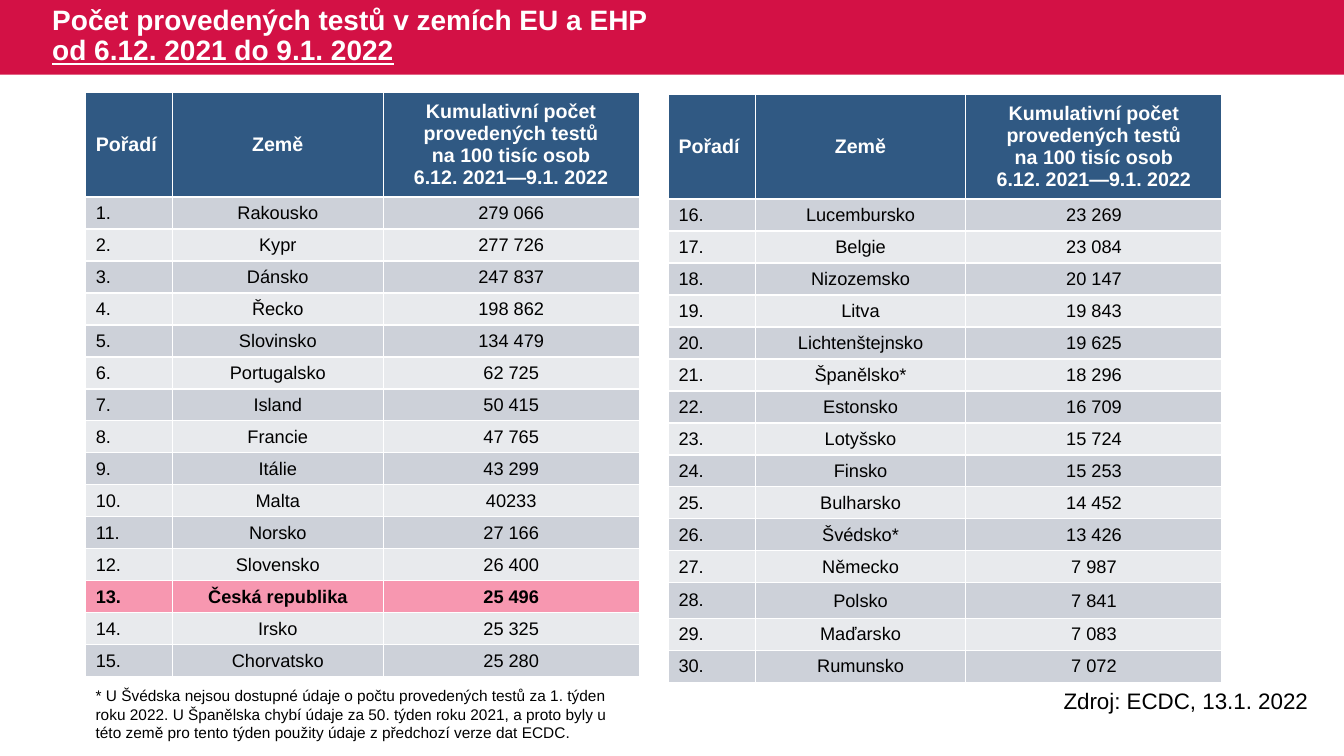
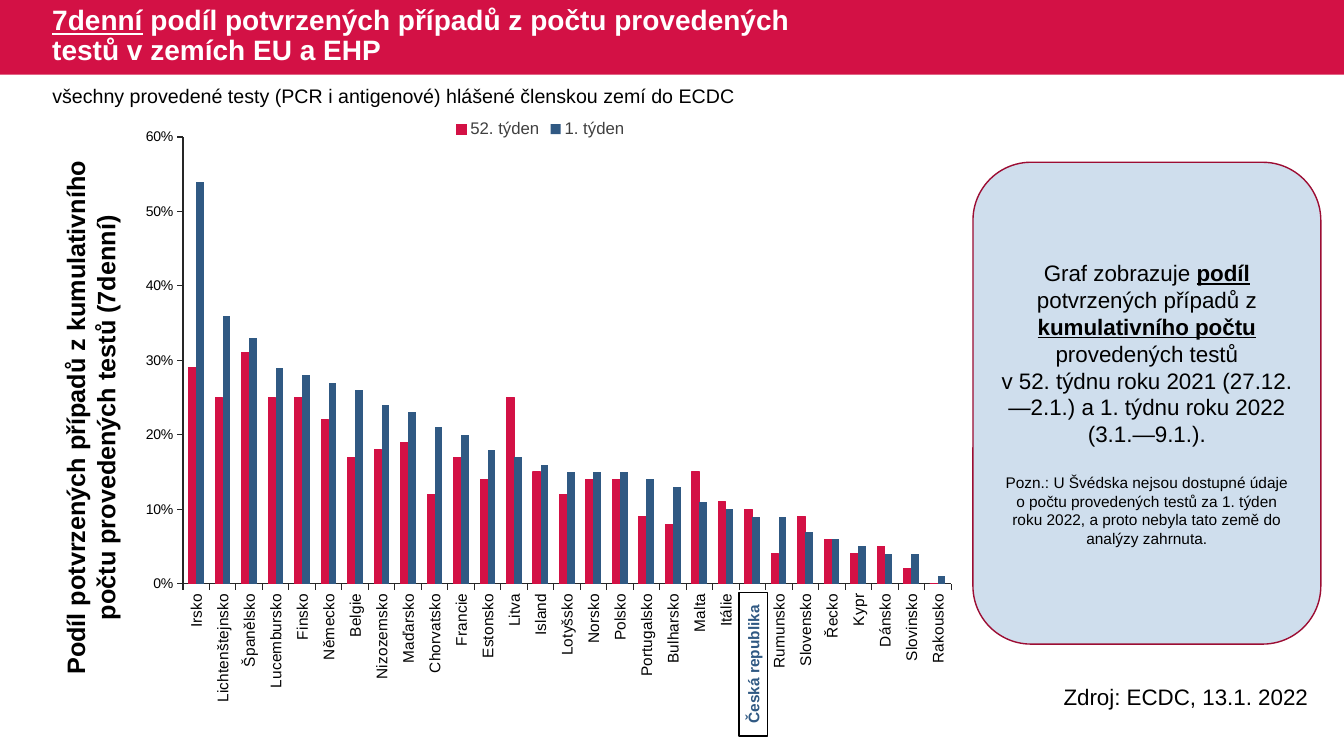
from pptx import Presentation
from pptx.chart.data import CategoryChartData
from pptx.dml.color import RGBColor
from pptx.enum.chart import XL_CHART_TYPE, XL_LEGEND_POSITION, XL_TICK_MARK
from pptx.enum.shapes import MSO_SHAPE
from pptx.enum.text import MSO_ANCHOR, PP_ALIGN
from pptx.oxml import parse_xml
from pptx.oxml.ns import nsdecls
from pptx.util import Inches, Pt

RED = RGBColor(0xD3, 0x11, 0x45)
DARK_RED = RGBColor(0x9C, 0x0D, 0x33)
PINK = RGBColor(0xF7, 0x97, 0xB0)
BLUE = RGBColor(0x30, 0x59, 0x83)
LIGHT_BLUE = RGBColor(0xCF, 0xDE, 0xED)
ODD_ROW = RGBColor(0xCD, 0xD1, 0xD9)
EVEN_ROW = RGBColor(0xE8, 0xEA, 0xED)
LEGEND_GREY = RGBColor(0x40, 0x40, 0x40)
AXIS_GREY = RGBColor(0x26, 0x26, 0x26)
BLACK = RGBColor(0, 0, 0)
WHITE = RGBColor(0xFF, 0xFF, 0xFF)
FONT = "Arial"
MARKED = "Česká republika"
STRONG = {"bold": True, "underline": True}


def write(tf, paras, size, color=BLACK, bold=False, align=PP_ALIGN.LEFT, anchor=MSO_ANCHOR.TOP):
    tf.word_wrap = True
    tf.vertical_anchor = anchor
    for i, runs in enumerate(paras):
        p = tf.paragraphs[0] if i == 0 else tf.add_paragraph()
        p.alignment = align
        for text, changes in runs:
            if text == "\v":
                p.add_line_break()
                continue
            r = p.add_run()
            r.text = text
            style = {"name": FONT, "size": Pt(size), "bold": bold, **changes}
            for key, value in style.items():
                setattr(r.font, key, value)
            r.font.color.rgb = color


def add_box(s, place, fill=None, line=None, shape=MSO_SHAPE.RECTANGLE):
    box = [Inches(v) for v in place]
    if fill is None:
        return s.shapes.add_textbox(*box)
    sp = s.shapes.add_shape(shape, *box)
    sp.shadow.inherit = False
    sp.fill.solid()
    sp.fill.fore_color.rgb = fill
    if line is None:
        sp.line.fill.background()
    else:
        sp.line.color.rgb = line
        sp.line.width = Pt(1)
    return sp


prs = Presentation()
prs.slide_width = Inches(13.33)
prs.slide_height = Inches(7.5)

titles = [
    [("Počet provedených testů v zemích EU a EHP", {}), ("\v", {}),
     ("od 6.12. 2021 do 9.1. 2022", {"underline": True})],
    [("7denní", {"underline": True}),
     (" podíl potvrzených případů z počtu provedených testů v zemích EU a EHP", {})],
]
for title, source_top in zip(titles, (6.77, 6.73)):
    s = prs.slides.add_slide(prs.slide_layouts[6])
    add_box(s, (0, 0, 13.33, 0.74), RED)
    tf = add_box(s, (0.42, 0, 8.16, 0.73)).text_frame
    write(tf, [title], 20, WHITE, True, anchor=MSO_ANCHOR.MIDDLE)
    tf.paragraphs[0].line_spacing = 0.9
    tf = add_box(s, (10.45, source_top, 3.13, 0.37)).text_frame
    write(tf, [[("Zdroj: ECDC, 13.1. 2022", {})]], 16)

tests_slide, share_slide = prs.slides

ranking = [
    ("Rakousko", "279 066"), ("Kypr", "277 726"), ("Dánsko", "247 837"),
    ("Řecko", "198 862"), ("Slovinsko", "134 479"), ("Portugalsko", "62 725"),
    ("Island", "50 415"), ("Francie", "47 765"), ("Itálie", "43 299"),
    ("Malta", "40233"), ("Norsko", "27 166"), ("Slovensko", "26 400"),
    (MARKED, "25 496"), ("Irsko", "25 325"), ("Chorvatsko", "25 280"),
    ("Lucembursko", "23 269"), ("Belgie", "23 084"), ("Nizozemsko", "20 147"),
    ("Litva", "19 843"), ("Lichtenštejnsko", "19 625"), ("Španělsko*", "18 296"),
    ("Estonsko", "16 709"), ("Lotyšsko", "15 724"), ("Finsko", "15 253"),
    ("Bulharsko", "14 452"), ("Švédsko*", "13 426"), ("Německo", "7 987"),
    ("Polsko", "7 841"), ("Maďarsko", "7 083"), ("Rumunsko", "7 072"),
]
header = (["Pořadí"], ["Země"],
          ["Kumulativní počet provedených testů", "na 100 tisíc osob", "6.12. 2021—9.1. 2022"])
half = len(ranking) // 2
for start, left, top in ((0, 0.85, 0.92), (half, 6.63, 0.94)):
    frame = tests_slide.shapes.add_table(
        half + 1, 3, Inches(left), Inches(top), Inches(5.49), Inches(5.5))
    table = frame.table
    for column, width in zip(table.columns, (0.86, 2.09, 2.54)):
        column.width = Inches(width)
    rows = [header]
    for rank, (country, count) in enumerate(ranking[start:start + half], start + 1):
        rows.append(([f"{rank}."], [country], [count]))
    for i, row in enumerate(rows):
        marked = row[1] == [MARKED]
        if i == 0:
            height, fill, size, color = 0.97, BLUE, 14, WHITE
        else:
            height = 0.35 if row[1] == ["Polsko"] else 0.3
            fill = PINK if marked else ODD_ROW if i % 2 else EVEN_ROW
            size, color = 13, BLACK
        table.rows[i].height = Inches(height)
        for j, lines in enumerate(row):
            cell = table.cell(i, j)
            cell.fill.solid()
            cell.fill.fore_color.rgb = fill
            cell.vertical_anchor = MSO_ANCHOR.MIDDLE
            if i and j:
                cell.margin_left = cell.margin_top = cell.margin_right = Inches(0.01)
                cell.margin_bottom = 0
            write(cell.text_frame, [[(line, {})] for line in lines], size, color,
                  i == 0 or marked, PP_ALIGN.CENTER if j else PP_ALIGN.LEFT, MSO_ANCHOR.MIDDLE)

tf = add_box(tests_slide, (0.85, 6.76, 5.48, 0.66)).text_frame
write(tf, [[("* U Švédska nejsou dostupné údaje o počtu provedených testů za 1. týden roku 2022. "
             "U Španělska chybí údaje za 50. týden roku 2021, a proto byly u této země pro tento "
             "týden použity údaje z předchozí verze dat ECDC.", {})]], 11)

s = share_slide
sp = add_box(s, (-1.81, 3.79, 5.42, 0.71))
sp.rotation = 270
write(sp.text_frame, [[("Podíl potvrzených případů z kumulativního počtu provedených testů (7denní)", {})]],
      18, bold=True, align=PP_ALIGN.CENTER)

shares = [
    ("Irsko", 0.29, 0.54), ("Lichtenštejnsko", 0.25, 0.36), ("Španělsko", 0.31, 0.33),
    ("Lucembursko", 0.25, 0.29), ("Finsko", 0.25, 0.28), ("Německo", 0.22, 0.27),
    ("Belgie", 0.17, 0.26), ("Nizozemsko", 0.18, 0.24), ("Maďarsko", 0.19, 0.23),
    ("Chorvatsko", 0.12, 0.21), ("Francie", 0.17, 0.2), ("Estonsko", 0.14, 0.18),
    ("Litva", 0.25, 0.17), ("Island", 0.15, 0.16), ("Lotyšsko", 0.12, 0.15),
    ("Norsko", 0.14, 0.15), ("Polsko", 0.14, 0.15), ("Portugalsko", 0.09, 0.14),
    ("Bulharsko", 0.08, 0.13), ("Malta", 0.15, 0.11), ("Itálie", 0.11, 0.1),
    (MARKED, 0.1, 0.09), ("Rumunsko", 0.04, 0.09), ("Slovensko", 0.09, 0.07),
    ("Řecko", 0.06, 0.06), ("Kypr", 0.04, 0.05), ("Dánsko", 0.05, 0.04),
    ("Slovinsko", 0.02, 0.04), ("Rakousko", 0, 0.01),
]
countries, week_52, week_1 = zip(*shares)
data = CategoryChartData(number_format="0%")
data.categories = countries
data.add_series("52. týden", week_52)
data.add_series("1. týden", week_1)
chart = s.shapes.add_chart(XL_CHART_TYPE.COLUMN_CLUSTERED, Inches(1.16), Inches(1.08),
                           Inches(8.4), Inches(5.95), data).chart
chart.has_title = False
chart.has_legend = True
chart.legend.position = XL_LEGEND_POSITION.TOP
chart.legend.include_in_layout = False
value_axis, category_axis = chart.value_axis, chart.category_axis
for font, size, color in ((chart.font, 10, LEGEND_GREY), (chart.legend.font, 12, LEGEND_GREY),
                          (value_axis.tick_labels.font, 10, BLACK),
                          (category_axis.tick_labels.font, 11, BLACK)):
    font.name = FONT
    font.size = Pt(size)
    font.color.rgb = color
for axis in (value_axis, category_axis):
    axis.has_major_gridlines = False
    axis.major_tick_mark = XL_TICK_MARK.OUTSIDE
    axis.format.line.color.rgb = AXIS_GREY
    axis.format.line.width = Pt(0.75)
value_axis.minimum_scale = 0
value_axis.maximum_scale = 0.6
value_axis.major_unit = 0.1
value_axis.tick_labels.number_format = "0%"
value_axis.tick_labels.number_format_is_linked = False
body = category_axis._element.find(".//{*}bodyPr")
body.set("rot", "-5400000")
body.set("vert", "horz")
plot = chart.plots[0]
plot.gap_width = 150
plot.overlap = 0
plot.vary_by_categories = False
for series, color in zip(plot.series, (RED, BLUE)):
    series.format.fill.solid()
    series.format.fill.fore_color.rgb = color
plot.series[0].format.line.color.rgb = RED
plot.series[0].format.line.width = Pt(0.75)

area = chart._chartSpace.chart.plotArea
for old in area.findall("{*}layout"):
    area.remove(old)
sizes = "".join(f'<c:{k} val="{v}"/>' for k, v in (
    ("layoutTarget", "inner"), ("xMode", "edge"), ("yMode", "edge"),
    ("x", 0.078), ("y", 0.047), ("w", 0.907), ("h", 0.745)))
area.insert(0, parse_xml(
    f'<c:layout {nsdecls("c")}><c:manualLayout>{sizes}</c:manualLayout></c:layout>'))

tf = add_box(s, (9.65, 1.61, 3.45, 4.78), LIGHT_BLUE, DARK_RED, MSO_SHAPE.ROUNDED_RECTANGLE).text_frame
write(tf, [
    [("Graf zobrazuje ", {}), ("podíl", STRONG), (" potvrzených případů z ", {}),
     ("kumulativního počtu", STRONG), (" provedených testů", {})],
    [("v 52. týdnu roku 2021 (27.12.—2.1.) a 1. týdnu roku 2022 (3.1.—9.1.).", {})],
    [("Pozn.: U Švédska nejsou dostupné údaje o počtu provedených testů za 1. týden roku 2022, "
      "a proto nebyla tato země do analýzy zahrnuta.", {"size": Pt(11)})],
], 16, align=PP_ALIGN.CENTER, anchor=MSO_ANCHOR.MIDDLE)
tf.paragraphs[2].space_before = Pt(18.5)

sp = add_box(s, (6.76, 6.45, 1.42, 0.28), WHITE, BLACK)
sp.rotation = 270
write(sp.text_frame, [[(MARKED, {})]], 11, BLUE, True, PP_ALIGN.CENTER, MSO_ANCHOR.MIDDLE)

tf = add_box(s, (0.42, 0.78, 12.59, 0.34)).text_frame
write(tf, [[("všechny provedené testy (PCR i antigenové) hlášené členskou zemí do ECDC", {})]], 14)

prs.save("out.pptx")
